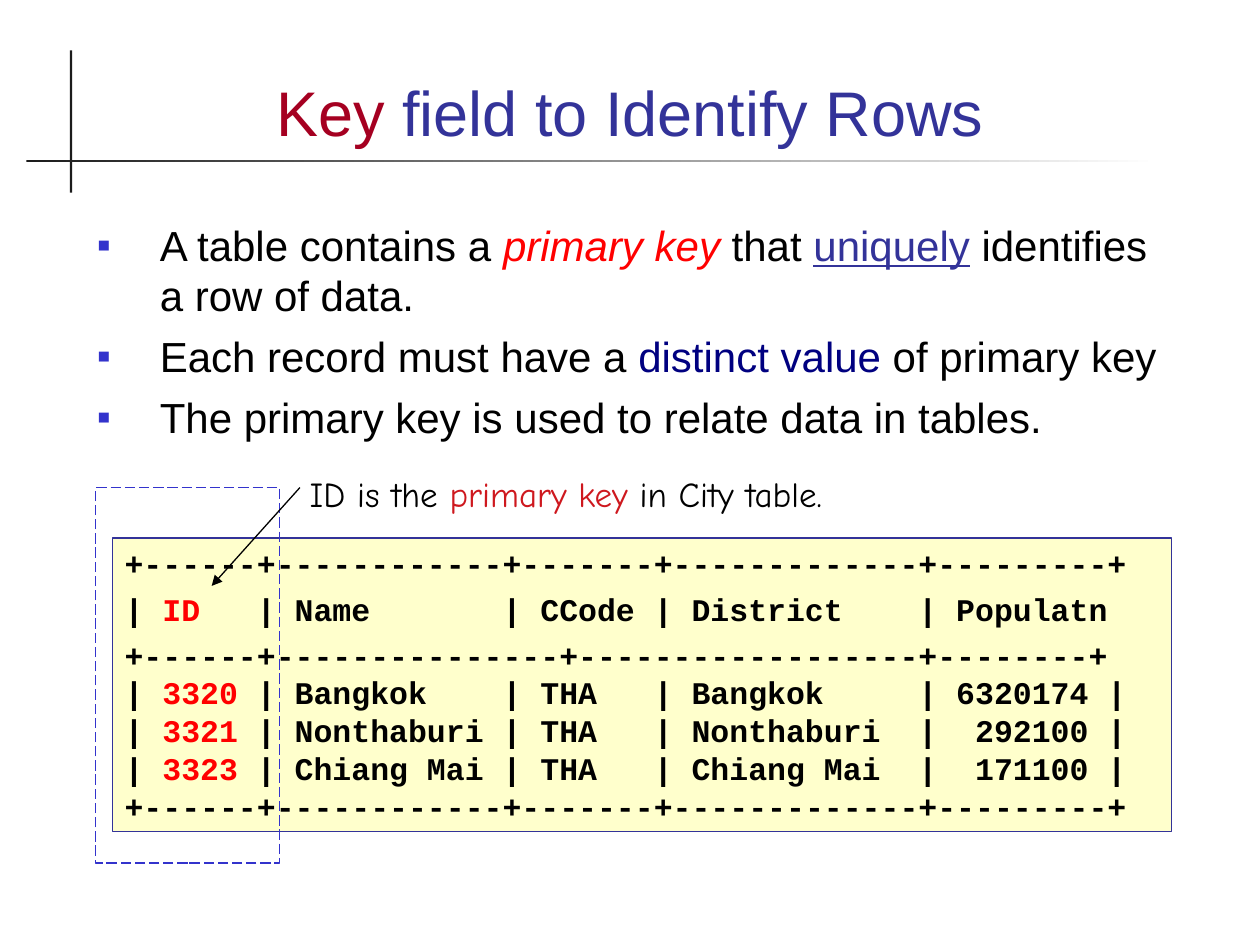
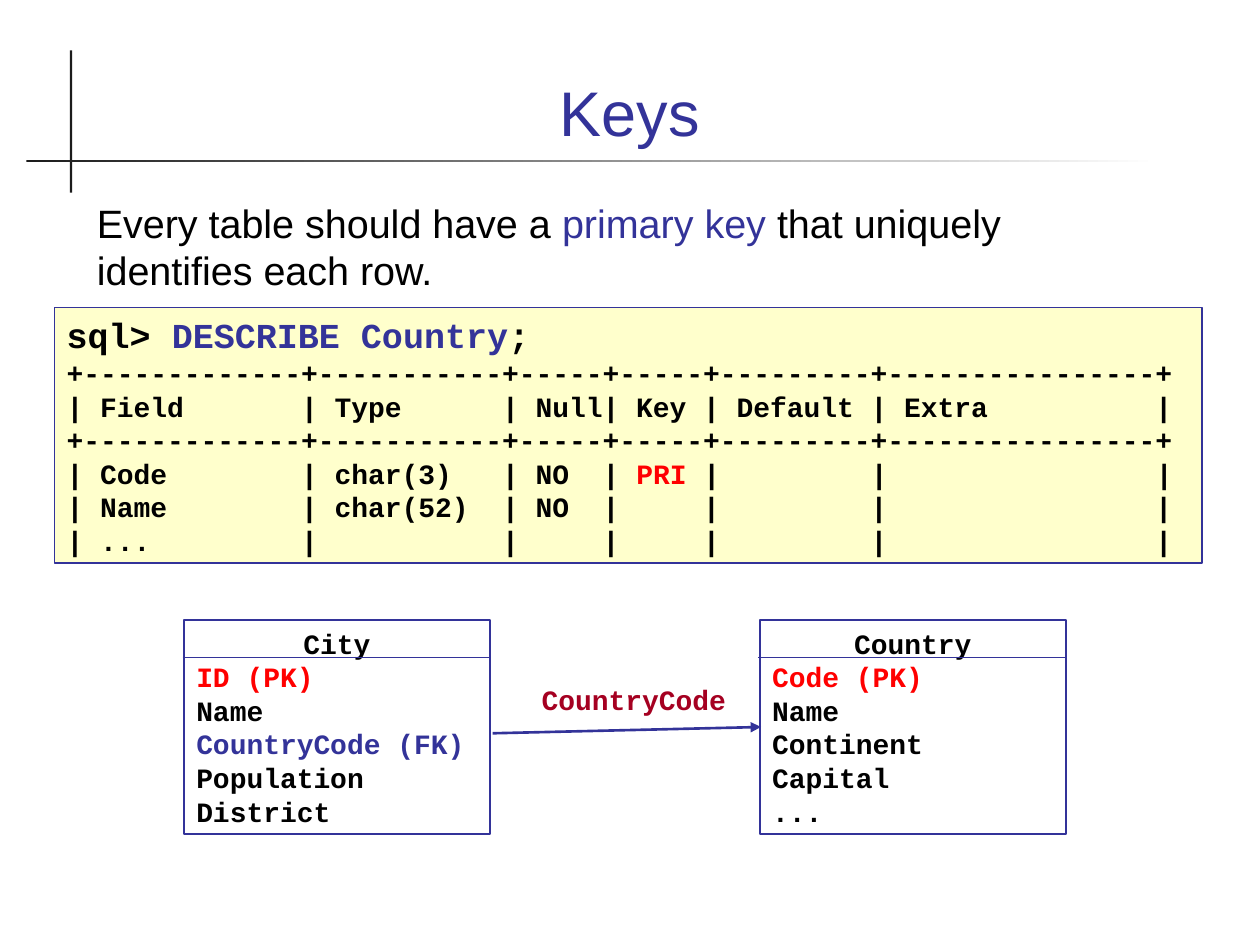
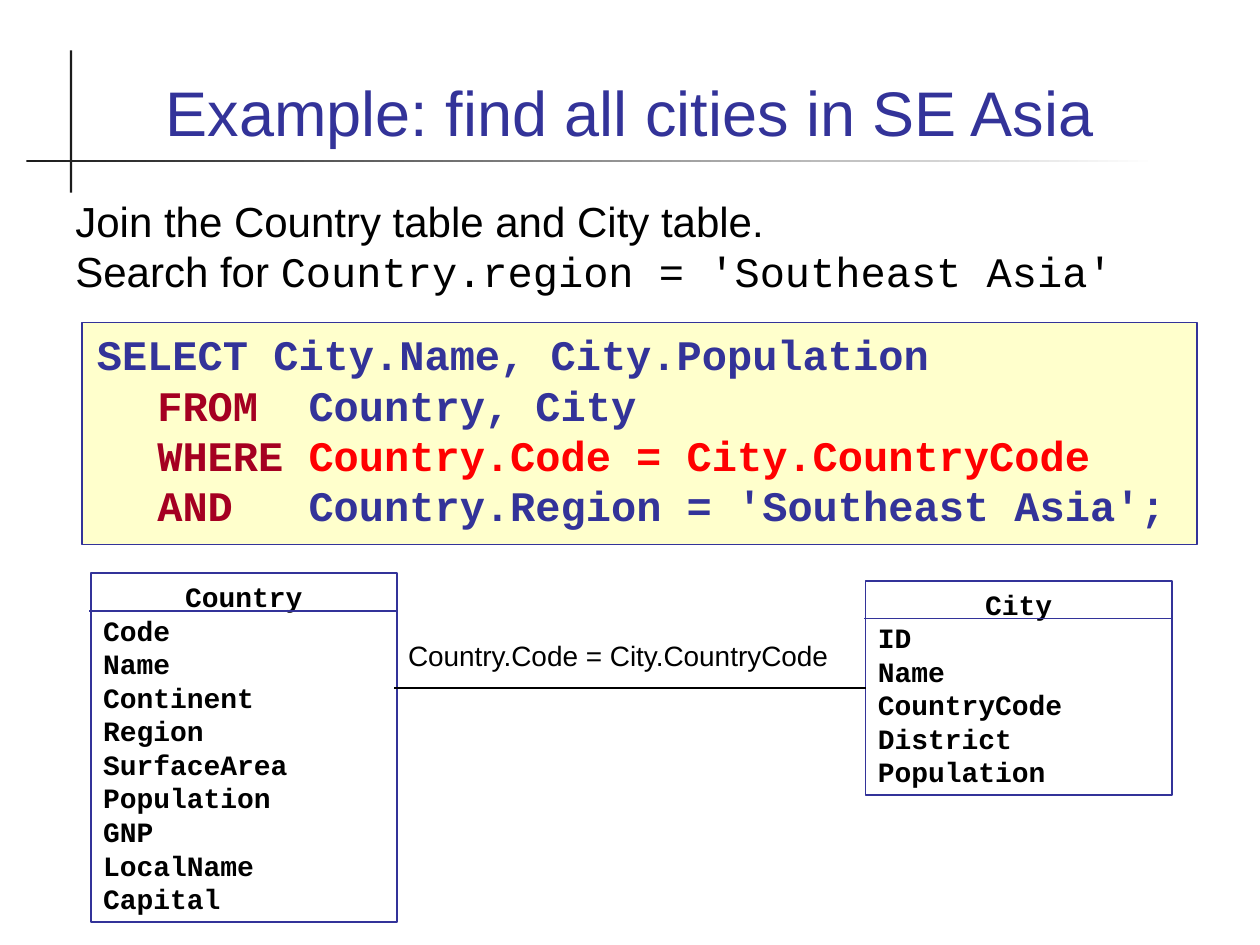
"""Build three slides on primary keys and table joins."""
import itertools

import lxml.etree
import pptx
import pptx.dml.color
import pptx.enum.dml
import pptx.enum.shapes
import pptx.enum.text
import pptx.oxml.ns
import pptx.util

COLORS = {
    "black": "000000", "ink": "1C1C1C", "white": "FFFFFF", "cream": "FFFFCC",
    "indigo": "333399", "blue": "3333CC", "navy": "000080", "red": "FF0000",
    "crimson": "A50021", "scarlet": "CE181E",
}
SANS, MONO, COMIC = "Arial", "Courier New", "Comic Neue"
COLUMNS, ROWS = 100, 75
ALIGN = pptx.enum.text.PP_ALIGN
ANCHOR = pptx.enum.text.MSO_ANCHOR
SHAPE = pptx.enum.shapes.MSO_SHAPE
Pt = pptx.util.Pt


class Deck:
    def __init__(self):
        self.presentation = pptx.Presentation()
        self.presentation.slide_width = pptx.util.Inches(10)
        self.presentation.slide_height = pptx.util.Inches(7.5)
        self.column = self.presentation.slide_width / COLUMNS
        self.row = self.presentation.slide_height / ROWS
        self.slide = None

    def color(self, name):
        return pptx.dml.color.RGBColor.from_string(COLORS[name])

    def place(self, *lengths):
        units = itertools.cycle((self.column, self.row))
        return [round(length * unit) for length, unit in zip(lengths, units)]

    def element(self, parent, tag, **attributes):
        return lxml.etree.SubElement(parent, pptx.oxml.ns.qn(tag), attributes)

    def new_slide(self, title):
        self.slide = self.presentation.slides.add_slide(self.presentation.slide_layouts[6])
        self.box((5.55, 4, 0.17, 11.3), fill="ink")
        rule = self.box((2.1, 12.7, 89.8, 0.17), fill="ink")
        rule.fill.gradient()
        rule.fill.gradient_angle = 0
        for stop, name in zip(rule.fill.gradient_stops, ("ink", "white")):
            stop.color.rgb = self.color(name)
        self.text((6.7, 2.8, 86.6, 9.5), [title], size=36, color="indigo",
                  align=ALIGN.CENTER, anchor=ANCHOR.BOTTOM)

    def box(self, area, fill=None, line=None, width=0.75, dash=None):
        shape = self.slide.shapes.add_shape(SHAPE.RECTANGLE, *self.place(*area))
        shape.shadow.inherit = False
        if fill:
            shape.fill.solid()
            shape.fill.fore_color.rgb = self.color(fill)
        else:
            shape.fill.background()
        if line:
            shape.line.color.rgb = self.color(line)
            shape.line.width = Pt(width)
            shape.line.dash_style = dash
        else:
            shape.line.fill.background()
        return shape

    def text(self, area, paragraphs, **style):
        shape = self.slide.shapes.add_textbox(*self.place(*area))
        self.compose(shape.text_frame, paragraphs, **style)

    def code(self, area, paragraphs, **style):
        shape = self.box(area, fill="cream", line="indigo")
        self.compose(shape.text_frame, paragraphs, font=MONO, bold=True, **style)

    def compose(self, frame, paragraphs, size, font=SANS, color="black", bold=False,
                align=ALIGN.LEFT, anchor=ANCHOR.TOP, gaps=(), indents=(), bullet=None,
                wrap=True):
        frame.word_wrap = wrap
        frame.vertical_anchor = anchor
        spaces = itertools.chain([0], gaps, itertools.repeat(0))
        margins = itertools.chain(indents, itertools.repeat(0))
        for index, (pieces, space, margin) in enumerate(zip(paragraphs, spaces, margins)):
            paragraph = frame.paragraphs[0] if index == 0 else frame.add_paragraph()
            paragraph.alignment = align
            paragraph.space_before = Pt(space)
            properties = paragraph._p.get_or_add_pPr()
            properties.set("marL", str(round(margin * self.column)))
            if bullet:
                properties.set("indent", str(round(-margin * self.column)))
                self.bullet(properties, bullet)
            for piece in [pieces] if isinstance(pieces, str) else pieces:
                words, name, extras = (piece, color, {}) if isinstance(piece, str) else (*piece, {})[:3]
                run = paragraph.add_run()
                run.text = words
                run.font.color.rgb = self.color(name)
                run.font.name = extras.get("font", font)
                run.font.size = Pt(extras.get("size", size))
                run.font.bold = bold
                run.font.italic = extras.get("italic")
                run.font.underline = extras.get("underline")

    def bullet(self, properties, character):
        tint = self.element(properties, "a:buClr")
        self.element(tint, "a:srgbClr", val=COLORS["blue"])
        self.element(properties, "a:buSzPct", val="95000")
        self.element(properties, "a:buFont", typeface=SANS)
        self.element(properties, "a:buChar", char=character)

    def line(self, start, end, color="black", width=0.75, arrow=False):
        connector = self.slide.shapes.add_connector(
            pptx.enum.shapes.MSO_CONNECTOR.STRAIGHT, *self.place(*start, *end))
        connector.line.color.rgb = self.color(color)
        connector.line.width = Pt(width)
        if arrow:
            outline = connector._element.spPr.find(pptx.oxml.ns.qn("a:ln"))
            self.element(outline, "a:tailEnd", type="triangle")
        self.element(connector._element.spPr, "a:effectLst")

    def entity(self, left, top, name, fields):
        width, height = 24.3, 1 + 2.67 * (len(fields) + 1)
        shape = self.box((left, top, width, height), line="indigo", width=1)
        self.compose(shape.text_frame, [name, *fields], size=16, font=MONO, bold=True)
        shape.text_frame.paragraphs[0].alignment = ALIGN.CENTER
        self.line((left - 0.1, top + 3), (left + width, top + 3), "indigo")


def key_field(deck):
    deck.new_slide([("Key", "crimson"), " field to Identify Rows"])
    deck.text((6.7, 16.9, 86.6, 28.4), [
        ["A table contains a ", ("primary key", "red", {"italic": True}), " that ",
         ("uniquely", "indigo", {"underline": True}), " identifies a row of data."],
        ["Each record must have a ", ("distinct value", "navy"), " of primary key"],
        "The primary key is used to relate data in tables.",
    ], size=24, gaps=(6, 6), indents=(5, 5, 5), bullet="▪")
    border = "+------+------------+-------+-------------+---------+"
    cities = [("3320", "Bangkok", 6320174), ("3321", "Nonthaburi", 292100),
              ("3323", "Chiang Mai", 171100)]
    deck.code((8.9, 42.7, 84.1, 23.3), [
        border,
        ["| ", ("ID", "red"), "   | Name       | CCode | District    | Populatn"],
        "+------+---------------+------------------+--------+",
        *(["| ", (key, "red"), f" | {city:<10} | THA   | {city:<11} | {people:>7} |"]
          for key, city, people in cities),
        border,
    ], size=18, gaps=(4.5, 4.5))
    deck.box((7.6, 38.7, 14.6, 29.8), line="blue",
             dash=pptx.enum.dml.MSO_LINE.LONG_DASH)
    deck.text((23.6, 37, 50, 4.4), [
        ["ID is the ", ("primary key", "scarlet"), " in City table."]], size=20, font=COMIC)
    deck.line((23.8, 38.7), (16.8, 46.5), arrow=True)


def keys(deck):
    deck.new_slide("Keys")
    deck.text((6.7, 15.3, 86.6, 12.7), [
        ["Every table should have a ", ("primary key", "indigo"),
         " that uniquely identifies each row."]], size=22.6)
    deck.entity(14.6, 49.2, "City", [
        [("ID (PK)", "red")], "Name", [("CountryCode (FK)", "indigo")],
        "Population", "District"])
    deck.entity(60.3, 49.2, "Country", [
        [("Code (PK)", "red")], "Name", "Continent", "Capital", "..."])
    deck.line((39.1, 58.2), (60.4, 57.7), "indigo", width=1.5, arrow=True)
    deck.text((40, 53.7, 18.6, 3.7), ["CountryCode"], size=16, font=MONO,
              color="crimson", bold=True, align=ALIGN.RIGHT)
    border = "+-------------+-----------+-----+-----+---------+----------------+"
    large = {"size": 20}
    deck.code((4.3, 24.4, 91.1, 20.3), [
        [("sql> ", "black", large), ("DESCRIBE Country", "indigo", large),
         (";", "black", large)],
        border,
        "| Field       | Type      | Null| Key | Default | Extra          |",
        border,
        ["| Code        | char(3)   | NO  | ", ("PRI", "red"),
         " |         |                |"],
        "| Name        | char(52)  | NO  |     |         |                |",
        "| ...         |           |     |     |         |                |",
    ], size=16)


def join_example(deck):
    deck.new_slide("Example: find all cities in SE Asia")
    deck.code((6.5, 25.6, 88.5, 17.6), [
        "SELECT City.Name, City.Population",
        [("FROM", "crimson"), "  Country, City"],
        [("WHERE ", "crimson"), ("Country.Code = City.CountryCode", "red")],
        [("AND", "crimson"), "   Country.Region = 'Southeast Asia';"],
    ], size=24, color="indigo", indents=(0.2, 5, 5, 5))
    deck.entity(7.2, 45.5, "Country", [
        "Code", "Name", "Continent", "Region", "SurfaceArea", "Population",
        "GNP", "LocalName", "Capital"])
    deck.entity(68.7, 46.1, "City", [
        "ID", "Name", "CountryCode", "District", "Population"])
    deck.line((31.3, 54.6), (68.7, 54.6))
    deck.text((31.4, 50.2, 35.7, 3.7), ["Country.Code = City.CountryCode"],
              size=16, wrap=False)
    deck.text((5, 15, 90, 9), [
        "Join the Country table and City table.",
        ["Search for ", ("Country.region = 'Southeast Asia'", "black", {"font": MONO})],
    ], size=24)


def main():
    deck = Deck()
    for build in (key_field, keys, join_example):
        build(deck)
    deck.presentation.save("out.pptx")


if __name__ == "__main__":
    main()
